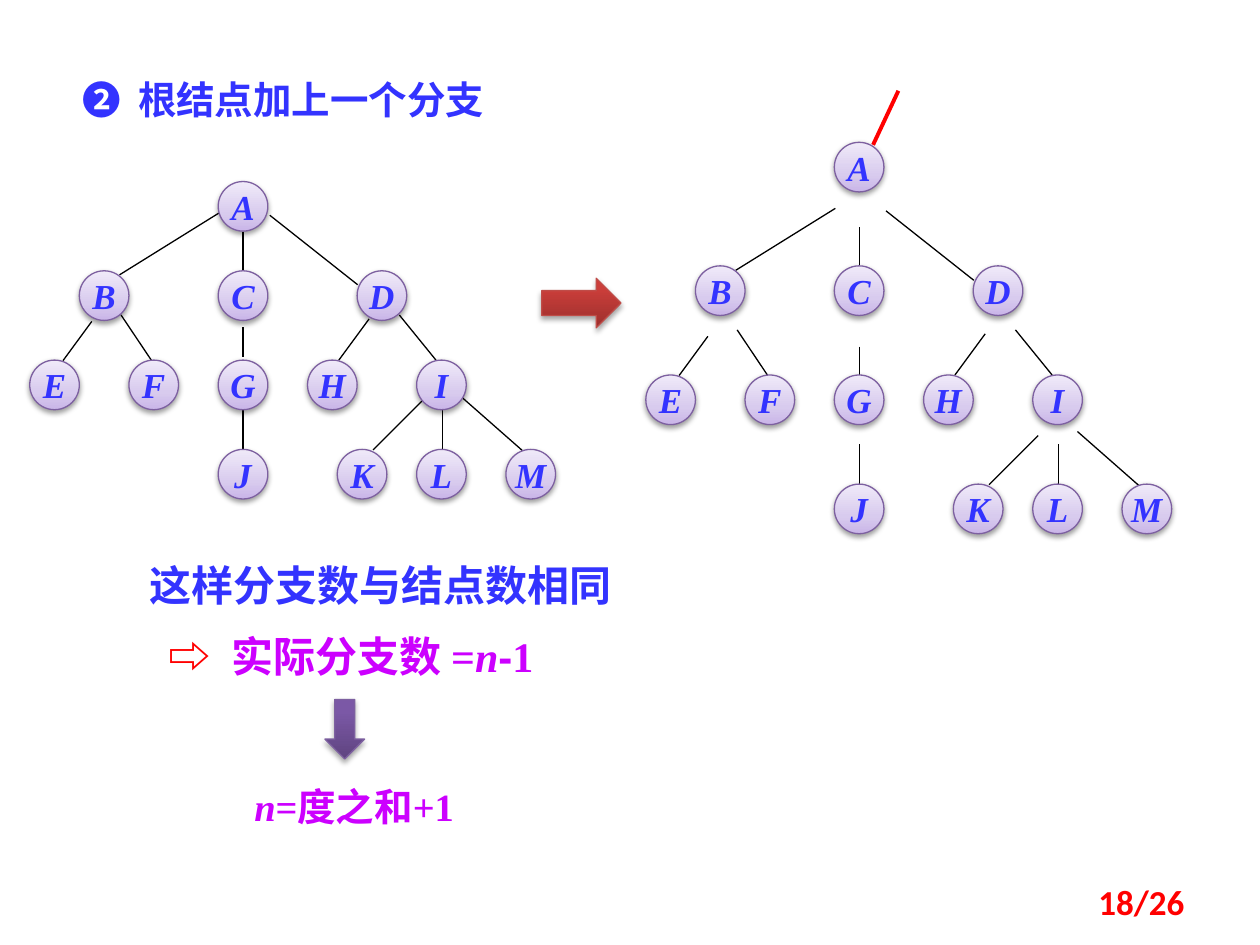
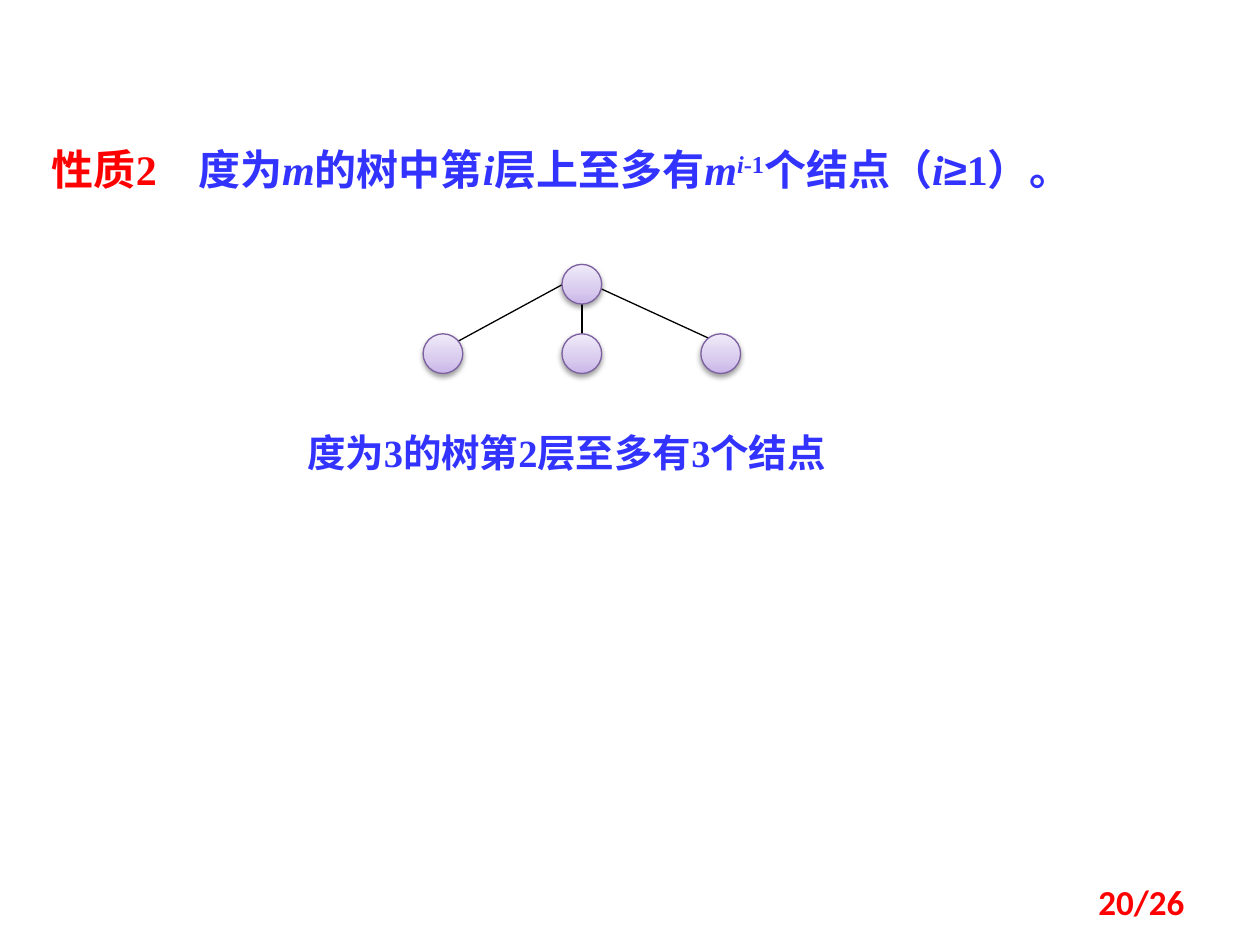
"""Builds two slides on tree properties: adding a branch to the root, and nodes per level."""
from lxml.etree import SubElement
from pptx import Presentation
from pptx.dml.color import RGBColor
from pptx.enum.shapes import MSO_CONNECTOR as CONN, MSO_SHAPE as SHAPE
from pptx.enum.text import MSO_ANCHOR as ANCHOR, MSO_AUTO_SIZE as AUTO, PP_ALIGN as ALIGN
from pptx.oxml.ns import qn
from pptx.util import Cm, Pt

BLUE = RGBColor(0x33, 0x33, 0xFF)
RED = RGBColor(0xFF, 0x00, 0x00)
MAGENTA = RGBColor(0xCC, 0x00, 0xFF)
BLACK = RGBColor(0x00, 0x00, 0x00)
PURPLE = RGBColor(0x7D, 0x60, 0xA0)
BRICK = RGBColor(0xBF, 0x4C, 0x48)
LILAC_STOPS = ((0, "C9B5E8"), (35, "D8CBEE"), (100, "F0EAF9"))
PURPLE_STOPS = ((0, "5F4480"), (80, "7B58A6"), (100, "7C57A8"))
RED_STOPS = ((0, "9C2F2D"), (80, "CB3E3A"), (100, "CE3B37"))
FONT = "Times New Roman"


def write(p, size, runs):
    for text, color, flags in runs:
        r = p.add_run()
        r.text = text
        r.font.name = "Arial" if "arial" in flags else FONT
        r.font.size = Pt(size)
        r.font.bold = True
        r.font.italic = "italic" in flags
        r.font.color.rgb = color
        if "super" in flags:
            r._r.get_or_add_rPr().set("baseline", "30000")


def glossy(s, kind, box, stops, line, alpha, dist):
    sp = s.shapes.add_shape(kind, *map(Cm, box))
    sp.fill.gradient()
    sp.fill.gradient_angle = 90
    sp.line.color.rgb = line
    sp.line.width = Pt(0.75)
    spPr = sp._element.spPr
    gs_list = spPr.find(qn("a:gradFill")).find(qn("a:gsLst"))
    for gs in list(gs_list):
        gs_list.remove(gs)
    for pos, color in stops:
        gs = SubElement(gs_list, qn("a:gs"), pos=str(pos * 1000))
        SubElement(gs, qn("a:srgbClr"), val=color)
    shadow = SubElement(SubElement(spPr, qn("a:effectLst")), qn("a:outerShdw"),
                        blurRad=str(Pt(3.1)), dist=str(Pt(dist)), dir="5400000", rotWithShape="0")
    clr = SubElement(shadow, qn("a:srgbClr"), val="000000")
    SubElement(clr, qn("a:alpha"), val=str(alpha * 1000))
    return sp


TREE = (("A", 4.4, 0), ("B", 1.6, 1), ("C", 4.4, 1), ("D", 7.2, 1),
        ("E", 0.6, 2), ("F", 2.6, 2), ("G", 4.4, 2), ("H", 6.2, 2), ("I", 8.4, 2),
        ("J", 4.4, 3), ("K", 6.8, 3), ("L", 8.4, 3), ("M", 10.2, 3))
EDGES = {
    "root": ((4.42, 4.29, 2.41, 5.54), (4.9, 4.67, 4.9, 5.46), (5.44, 4.34, 7.21, 5.74)),
    "second": ((1.85, 6.48, 1.27, 7.27), (2.44, 6.35, 3.05, 7.26),
               (7.44, 6.43, 6.83, 7.26), (8.05, 6.35, 8.79, 7.26)),
    "middle": ((4.9, 6.6, 4.9, 7.2),),
    "third": ((4.9, 8.26, 4.9, 9.07), (8.51, 8.08, 7.52, 9.07),
              (8.92, 8.26, 8.92, 9.07), (9.3, 8, 10.54, 9.09)),
}
TREES = (
    (0, (3.66, 5.46, 7.26, 9.06), {"root": 0, "second": 0, "middle": 0, "third": 0}),
    (12.42, (2.87, 5.36, 7.56, 9.76), {"root": -0.09, "second": 0.3, "middle": 0.39, "third": 0.7}),
)
branch_nodes, branch_lines = [], [(18.11, 1.83, 17.6, 2.92, RED, 2.25)]
for dx, levels, shifts in TREES:
    branch_nodes += [(name, x + dx, levels[level], 1) for name, x, level in TREE]
    branch_lines += [(x1 + dx, y1 + shifts[group], x2 + dx, y2 + shifts[group], BLACK, 0.75)
                     for group, edges in EDGES.items() for x1, y1, x2, y2 in edges]

level_nodes = [("", 11.33, 5.33, 0.8)] + [("", 8.53 + 2.8 * i, 6.73, 0.8) for i in range(3)]
level_lines = [(x1, y1, x2, 6.93, BLACK, 0.75)
               for x1, y1, x2 in ((11.33, 5.74, 9.14), (11.73, 5.94, 11.73), (11.94, 5.74, 14.53))]

SLIDES = (
    {
        "page": "18/26", "nodes": branch_nodes, "lines": branch_lines,
        "title": (1.4, 1.4, 9.53, 1.19), "size": 22, "tab": 1.13, "align": ALIGN.LEFT,
        "runs": (("❷\t根结点加上一个分支", BLUE, ""),),
        "arrows": ((SHAPE.DOWN_ARROW, (6.55, 14.1, 0.8, 1.2), PURPLE_STOPS, PURPLE),
                   (SHAPE.RIGHT_ARROW, (10.92, 5.61, 1.6, 1), RED_STOPS, BRICK)),
        "texts": (
            ((2.77, 11.15, 11.13, 2.82), 24, ALIGN.LEFT, (
                (("这样分支数与结点数相同", BLUE, ""),),
                (("⇨\t", RED, ""), ("实际分支数 =", MAGENTA, ""), ("n", MAGENTA, "italic"),
                 ("-", MAGENTA, "arial"), ("1", MAGENTA, "")))),
            ((3.76, 15.67, 6.76, 1.19), 22, ALIGN.CENTER, (
                (("n", MAGENTA, "italic"), ("=度之和+1", MAGENTA, "")),)),
        ),
    },
    {
        "page": "20/26", "nodes": level_nodes, "lines": level_lines,
        "title": (0.79, 2.77, 23.7, 1.27), "size": 24, "tab": 2.95, "align": ALIGN.JUSTIFY,
        "runs": (("性质2\t", RED, ""), ("度为", BLUE, ""), ("m", BLUE, "italic"),
                 ("的树中第", BLUE, ""), ("i", BLUE, "italic"), ("层上至多有", BLUE, ""),
                 ("m", BLUE, "italic"), ("i", BLUE, "italic super"), ("-1", BLUE, "super"),
                 ("个结点（", BLUE, ""), ("i", BLUE, "italic"), ("≥", BLUE, "arial"),
                 ("1）。", BLUE, "")),
        "arrows": (),
        "texts": (
            ((5.94, 8.53, 11.71, 1.19), 22, ALIGN.LEFT, (
                (("度为3的树第2层至多有3个结点", BLUE, ""),),)),
        ),
    },
)

prs = Presentation()
prs.slide_width, prs.slide_height = Cm(25.4), Cm(19.05)

for data in SLIDES:
    s = prs.slides.add_slide(prs.slide_layouts[5])

    title = s.shapes.title
    title.left, title.top, title.width, title.height = map(Cm, data["title"])
    tf = title.text_frame
    tf.word_wrap = True
    tf.auto_size = AUTO.NONE
    tf.vertical_anchor = ANCHOR.TOP
    p = tf.paragraphs[0]
    p.alignment = data["align"]
    write(p, data["size"], data["runs"])
    pPr = p._p.get_or_add_pPr()
    pPr.set("marL", str(Cm(data["tab"])))
    pPr.set("indent", str(-Cm(data["tab"])))

    for x1, y1, x2, y2, color, width in data["lines"]:
        line = s.shapes.add_connector(CONN.STRAIGHT, Cm(x1), Cm(y1), Cm(x2), Cm(y2))
        line.line.color.rgb = color
        line.line.width = Pt(width)
        SubElement(line._element.spPr, qn("a:effectLst"))

    for name, x, y, size in data["nodes"]:
        node = glossy(s, SHAPE.OVAL, (x, y, size, size), LILAC_STOPS, PURPLE, 38, 1.6)
        if name:
            tf = node.text_frame
            tf.word_wrap = False
            tf.vertical_anchor = ANCHOR.MIDDLE
            tf.paragraphs[0].alignment = ALIGN.CENTER
            write(tf.paragraphs[0], 20, ((name, BLUE, "italic"),))

    for kind, box, stops, color in data["arrows"]:
        glossy(s, kind, box, stops, color, 35, 1.8)

    for box, size, align, paragraphs in data["texts"]:
        tf = s.shapes.add_textbox(*map(Cm, box)).text_frame
        tf.word_wrap = True
        for i, runs in enumerate(paragraphs):
            p = tf.add_paragraph() if i else tf.paragraphs[0]
            p.alignment = align
            write(p, size, runs)
            if i:
                p.space_before = Pt(size / 2)
                pPr = p._p.get_or_add_pPr()
                pPr.set("marL", str(Cm(1.65)))
                pPr.set("indent", str(-Cm(1.27)))

    tf = s.shapes.add_textbox(Cm(18.2), Cm(17.66), Cm(5.93), Cm(1.01)).text_frame
    tf.word_wrap = True
    tf.vertical_anchor = ANCHOR.MIDDLE
    p = tf.paragraphs[0]
    p.alignment = ALIGN.RIGHT
    write(p, 20, ((data["page"], RED, ""),))
    p.runs[0].font.name = "Calibri"

prs.save("out.pptx")
